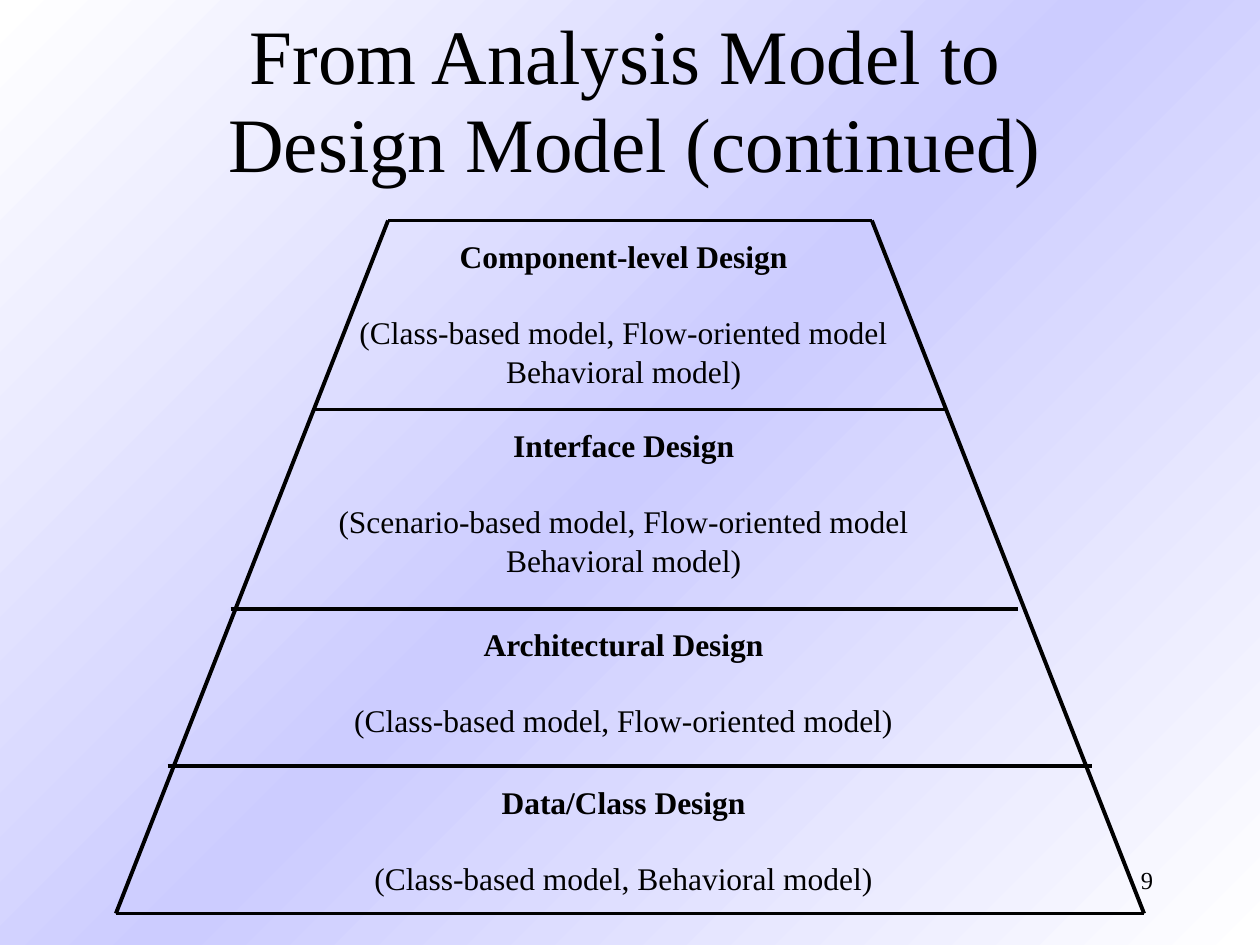
import copy

import pptx
import pptx.dml.color
import pptx.enum.shapes
import pptx.enum.text
import pptx.oxml.ns
import pptx.util
from lxml import etree

# Content
TITLE = "From Analysis Model to \vDesign Model (continued)"
PAGE_NUMBER = "9"
# Each level: top of the band, left and right end of its top line, heading, models
LEVELS = [
    (1.75, 3.08, 6.92, "Component-level Design",
     ["(Class-based model, Flow-oriented model", "Behavioral model)"]),
    (3.25, 2.5, 7.5, "Interface Design",
     ["(Scenario-based model, Flow-oriented model", "Behavioral model)"]),
    (4.83, 1.83, 8.08, "Architectural Design",
     ["(Class-based model, Flow-oriented model)"]),
    (6.08, 1.33, 8.67, "Data/Class Design",
     ["(Class-based model, Behavioral model)"]),
]
BASE = (7.25, 0.92, 9.08)

# Format
WIDTH, HEIGHT = 10, 7.5
LABEL_LEFT, LABEL_WIDTH, LABEL_GAP = 2.45, 5, 0.08
LINE_PITCH = 21.8
BLACK = pptx.dml.color.RGBColor(0, 0, 0)
WHITE = pptx.dml.color.RGBColor(255, 255, 255)
LAVENDER = pptx.dml.color.RGBColor(0xCC, 0xCC, 0xFF)
BACKGROUND_STOPS = [(0, WHITE), (0.5, LAVENDER), (1, WHITE)]
ALIGN = pptx.enum.text.PP_ALIGN
ANCHOR = pptx.enum.text.MSO_ANCHOR
Inches, Pt = pptx.util.Inches, pptx.util.Pt


def set_all(target, values):
    for name, value in values.items():
        setattr(target, name, value)


def add_text(slide, box, lines, size, pitch, align, anchor=ANCHOR.TOP):
    """Add a text box; each line is (text, bold, space after in points)."""
    shape = slide.shapes.add_textbox(*map(Inches, box))
    frame = shape.text_frame
    set_all(frame, {"word_wrap": True, "vertical_anchor": anchor})
    for index, (text, bold, space_after) in enumerate(lines):
        paragraph = frame.add_paragraph() if index else frame.paragraphs[0]
        paragraph.text = text
        set_all(paragraph, {"alignment": align, "line_spacing": Pt(pitch),
                            "space_after": Pt(space_after)})
        for run in paragraph.runs:
            set_all(run.font, {"name": "Times New Roman", "size": Pt(size), "bold": bold})
            run.font.color.rgb = BLACK


def add_line(slide, start, end):
    line = slide.shapes.add_connector(
        pptx.enum.shapes.MSO_CONNECTOR.STRAIGHT, *map(Inches, start + end))
    line.line.color.rgb = BLACK
    line.line.width = Pt(2.25)
    etree.SubElement(line._element.spPr, pptx.oxml.ns.qn("a:effectLst"))


def paint_background(slide):
    fill = slide.background.fill
    fill.gradient()
    fill.gradient_angle = 135
    last_stop = slide._element.findall(".//" + pptx.oxml.ns.qn("a:gs"))[-1]
    last_stop.addnext(copy.deepcopy(last_stop))
    for stop, (position, color) in zip(fill.gradient_stops, BACKGROUND_STOPS):
        stop.position = position
        stop.color.rgb = color


def main():
    presentation = pptx.Presentation()
    set_all(presentation, {"slide_width": Inches(WIDTH), "slide_height": Inches(HEIGHT)})
    slide = presentation.slides.add_slide(presentation.slide_layouts[6])
    paint_background(slide)

    # Page number and title
    add_text(slide, (7.17, 6.83, 2.08, 0.32), [(PAGE_NUMBER, False, 0)], 14, 16, ALIGN.RIGHT)
    add_text(slide, (0.83, 0.05, 8.42, 1.49), [(TITLE, False, 0)], 44, 50.3,
             ALIGN.CENTER, ANCHOR.MIDDLE)

    # Levels of the pyramid: a label under each top line
    for top, left, right, heading, models in LEVELS:
        lines = [(heading, True, LINE_PITCH)] + [(model, False, 0) for model in models]
        height = 0.1 + (len(lines) + 1) * LINE_PITCH / 72
        add_text(slide, (LABEL_LEFT, top + LABEL_GAP, LABEL_WIDTH, height),
                 lines, 18, LINE_PITCH, ALIGN.CENTER)
        add_line(slide, (left, top), (right, top))

    # Base and slanted sides
    bottom, base_left, base_right = BASE
    top, top_left, top_right = LEVELS[0][:3]
    add_line(slide, (base_left, bottom), (base_right, bottom))
    add_line(slide, (top_left, top), (base_left, bottom))
    add_line(slide, (top_right, top), (base_right, bottom))

    presentation.save("out.pptx")


if __name__ == "__main__":
    main()
